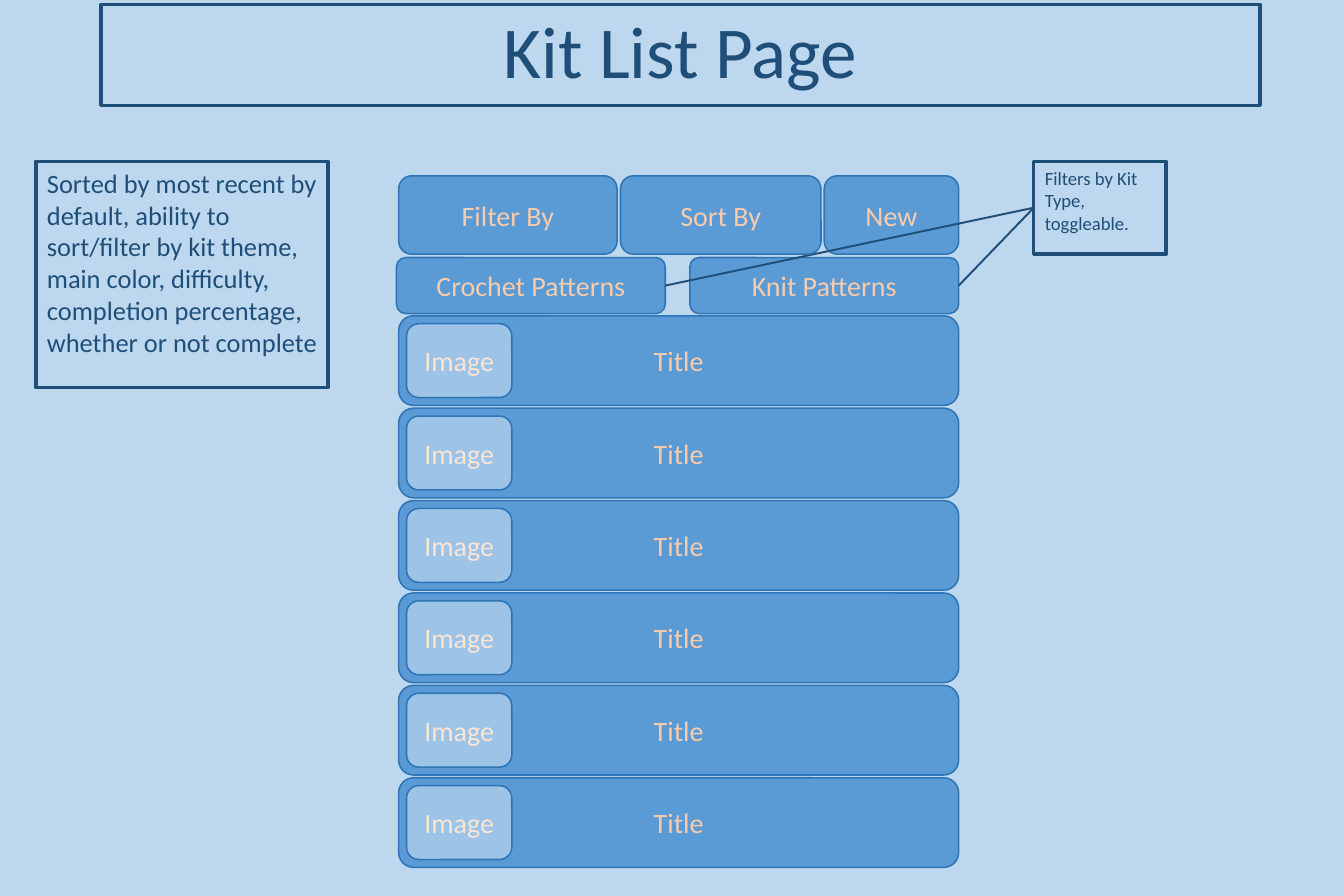
from lxml.etree import SubElement
from pptx import Presentation
from pptx.dml.color import RGBColor
from pptx.enum.shapes import MSO_CONNECTOR, MSO_SHAPE
from pptx.enum.text import MSO_ANCHOR, MSO_AUTO_SIZE, PP_ALIGN
from pptx.oxml.ns import qn
from pptx.util import Inches, Pt

# Grid of 120 columns by 80 rows, each cell a tenth of an inch
CELL = Inches(0.1)
COLUMNS, ROWS = 120, 80

# Colours
BACKGROUND = "BDD7EE"
NAVY = "1F4E79"
BLUE = "5B9BD5"
LIGHT_BLUE = "9DC3E6"
EDGE_BLUE = "2E75B6"
PEACH = "F8CBAD"
PALE_PEACH = "FBE5D6"

# Kit list layout, in grid cells
LIST_LEFT, LIST_WIDTH = 35.6, 50
GAP = 0.3
BUTTON_TOP, BUTTON_HEIGHT = 15.7, 7
PATTERN_WIDTH, PATTERN_HEIGHT = 24, 5
KIT_TOP, KIT_HEIGHT, KIT_PITCH, KIT_COUNT = 28.2, 8, 8.25, 6
IMAGE_INSET, IMAGE_WIDTH, IMAGE_HEIGHT = 0.7, 9.4, 6.6

LEFT_SIDE, RIGHT_SIDE = 1, 3


def colour(hex_string):
    return RGBColor.from_string(hex_string)


def cells(*values):
    return [round(value * CELL) for value in values]


def set_outline(shape, hex_string, width):
    shape.line.color.rgb = colour(hex_string)
    shape.line.width = Pt(width)


def write_text(shape, text, size=18, color=NAVY, align=PP_ALIGN.LEFT,
               anchor=MSO_ANCHOR.TOP, line_spacing=None):
    frame = shape.text_frame
    frame.text = text
    frame.word_wrap = True
    frame.auto_size = MSO_AUTO_SIZE.NONE
    frame.vertical_anchor = anchor
    paragraph = frame.paragraphs[0]
    paragraph.alignment = align
    paragraph.line_spacing = line_spacing
    font = paragraph.runs[0].font
    font.name = "Calibri"
    font.size = Pt(size)
    font.color.rgb = colour(color)


def add_title(slide, text):
    title = slide.shapes.title
    title.left, title.top, title.width, title.height = cells(9, 0.4, 103.5, 9)
    set_outline(title, NAVY, 2.25)
    write_text(title, text, size=47, align=PP_ALIGN.CENTER,
               anchor=MSO_ANCHOR.MIDDLE, line_spacing=0.9)


def add_button(slide, text, left, top, width, height, fill=BLUE, color=PEACH):
    button = slide.shapes.add_shape(
        MSO_SHAPE.ROUNDED_RECTANGLE, *cells(left, top, width, height))
    button.shadow.inherit = False
    button.fill.solid()
    button.fill.fore_color.rgb = colour(fill)
    set_outline(button, EDGE_BLUE, 1)
    write_text(button, text, color=color, align=PP_ALIGN.CENTER,
               anchor=MSO_ANCHOR.MIDDLE)
    return button


def add_kit(slide, top):
    add_button(slide, "Title", LIST_LEFT, top, LIST_WIDTH, KIT_HEIGHT)
    add_button(slide, "Image", LIST_LEFT + IMAGE_INSET, top + IMAGE_INSET,
               IMAGE_WIDTH, IMAGE_HEIGHT, fill=LIGHT_BLUE, color=PALE_PEACH)


def add_note(slide, text, left, top, width, height, size):
    note = slide.shapes.add_shape(
        MSO_SHAPE.RECTANGLE, *cells(left, top, width, height))
    note.shadow.inherit = False
    note.fill.background()
    set_outline(note, NAVY, 2.25)
    write_text(note, text, size=size)
    note.text_frame.margin_right = Inches(0.05)
    return note


def add_pointer(slide, note, button):
    pointer = slide.shapes.add_connector(MSO_CONNECTOR.STRAIGHT, 0, 0, 0, 0)
    pointer.begin_connect(note, LEFT_SIDE)
    pointer.end_connect(button, RIGHT_SIDE)
    set_outline(pointer, NAVY, 1.25)
    SubElement(pointer._element.spPr, qn("a:effectLst"))


def main():
    presentation = Presentation()
    presentation.slide_width, presentation.slide_height = cells(COLUMNS, ROWS)
    slide = presentation.slides.add_slide(presentation.slide_layouts[5])
    slide.background.fill.solid()
    slide.background.fill.fore_color.rgb = colour(BACKGROUND)
    add_title(slide, "Kit List Page")

    # Kit list
    for index in range(KIT_COUNT):
        add_kit(slide, KIT_TOP + index * KIT_PITCH)

    add_note(slide, "Sorted by most recent by default, ability to sort/filter "
             "by kit theme, main color, difficulty, completion percentage, "
             "whether or not complete", 3.2, 14.4, 26.1, 20.2, size=17)

    # Toolbar and pattern filters
    list_right = LIST_LEFT + LIST_WIDTH
    filter_width, new_width = 19.5, 12
    sort_left = LIST_LEFT + filter_width + GAP
    new_left = list_right - new_width
    add_button(slide, "Filter By", LIST_LEFT, BUTTON_TOP,
               filter_width, BUTTON_HEIGHT)
    add_button(slide, "New", new_left, BUTTON_TOP, new_width, BUTTON_HEIGHT)
    pattern_top = BUTTON_TOP + BUTTON_HEIGHT + GAP
    patterns = [
        add_button(slide, text, left, pattern_top,
                   PATTERN_WIDTH, PATTERN_HEIGHT)
        for text, left in [("Crochet Patterns", LIST_LEFT - 0.2),
                           ("Knit Patterns", list_right - PATTERN_WIDTH)]]

    # Note pointing at both pattern filters
    filter_note = add_note(slide, "Filters by Kit Type, toggleable.",
                           92.3, 14.4, 11.8, 8.3, size=12)
    for pattern in patterns:
        add_pointer(slide, filter_note, pattern)

    # The sort button lies above the pointers
    add_button(slide, "Sort By", sort_left, BUTTON_TOP,
               new_left - GAP - sort_left, BUTTON_HEIGHT)

    presentation.save("out.pptx")


if __name__ == "__main__":
    main()
